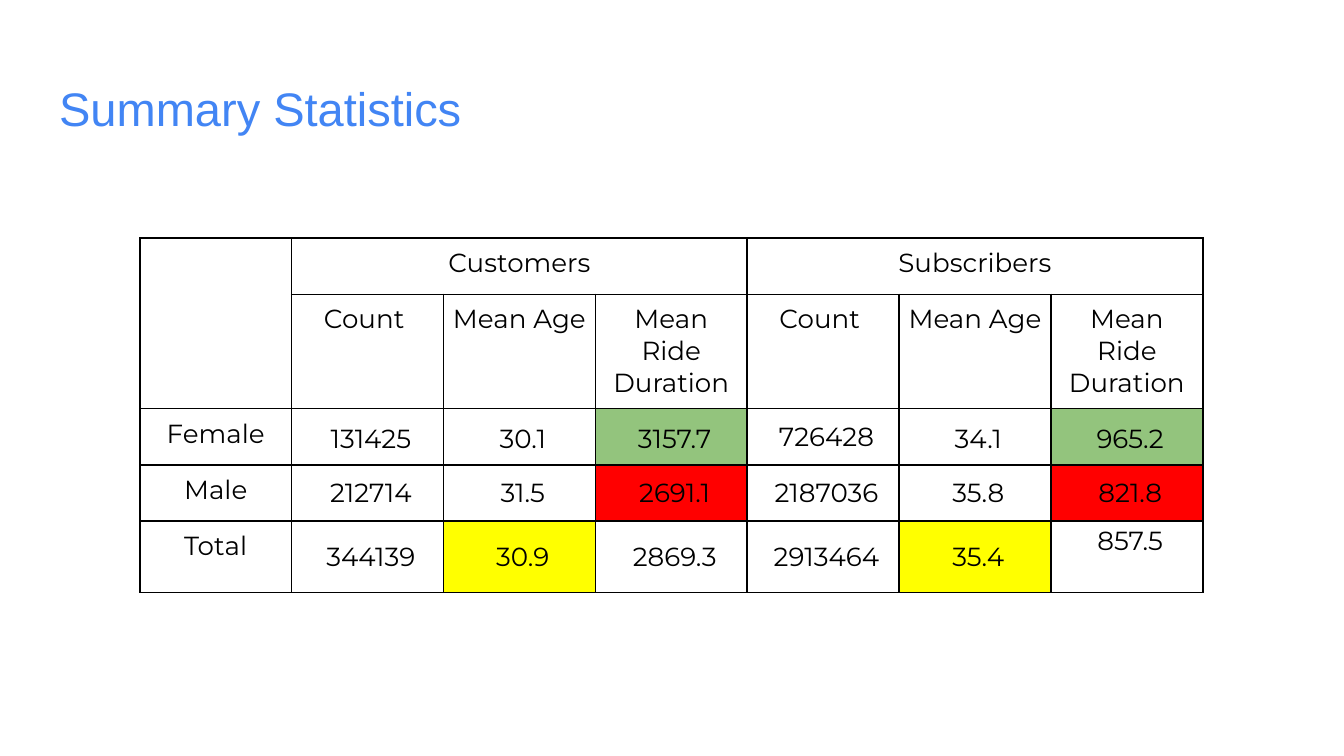
import pptx
import pptx.util
import pptx.dml.color
import pptx.enum.text
import pptx.oxml.ns
import lxml.etree

Inches, Pt = pptx.util.Inches, pptx.util.Pt
RGBColor = pptx.dml.color.RGBColor
Anchor = pptx.enum.text.MSO_ANCHOR
Align = pptx.enum.text.PP_ALIGN

BLUE = RGBColor(0x42, 0x85, 0xF4)
BLACK = RGBColor(0, 0, 0)
GREEN = RGBColor(0x93, 0xC4, 0x7D)
RED = RGBColor(0xFF, 0, 0)
YELLOW = RGBColor(0xFF, 0xFF, 0)


def add_edges(cell, width):
    """Draw all four borders of a cell in black."""
    props = cell._tc.get_or_add_tcPr()
    qn = pptx.oxml.ns.qn
    for side in ("a:lnL", "a:lnR", "a:lnT", "a:lnB"):
        line = lxml.etree.SubElement(props, qn(side), w=str(Pt(width)))
        fill = lxml.etree.SubElement(line, qn("a:solidFill"))
        lxml.etree.SubElement(fill, qn("a:srgbClr"), val=str(BLACK))


# Widescreen slide, 16 to 9
deck = pptx.Presentation()
deck.slide_width = Inches(10)
deck.slide_height = Inches(10) * 9 // 16
slide = deck.slides.add_slide(deck.slide_layouts[5])

# Title
title = slide.shapes.title
title.left, title.top = Inches(0.34), Inches(0.49)
title.width, title.height = Inches(9.32), Inches(0.63)
frame = title.text_frame
frame.text = "Summary Statistics"
frame.margin_left = frame.margin_right = Inches(0.1)
frame.margin_top = frame.margin_bottom = Inches(0.1)
frame.vertical_anchor = Anchor.TOP
frame.paragraphs[0].alignment = Align.LEFT
font = frame.paragraphs[0].runs[0].font
font.name, font.size, font.color.rgb = "Arial", Pt(25.2), BLUE

# Table content
heads = ["Count ", "Mean Age", "Mean Ride Duration"]
rows = [
    ["", "Customers", "", "", "Subscribers", "", ""],
    [""] + heads * 2,
    ["Female", "131425", "30.1", "3157.7", "726428", "34.1", "965.2"],
    ["Male", "212714", "31.5", "2691.1", "2187036", "35.8", "821.8"],
    ["Total", "344139", "30.9", "2869.3", "2913464", "35.4", "857.5"],
]
fills = {(2, 3): GREEN, (2, 6): GREEN, (3, 3): RED, (3, 6): RED,
         (4, 2): YELLOW, (4, 5): YELLOW}
highs = [0.42, 0.84, 0.42, 0.42, 0.53]
wide = 1.13

# Table grid
table = slide.shapes.add_table(
    len(rows), 7, Inches(1.04), Inches(1.77),
    Inches(wide * 7), Inches(sum(highs))).table
table.first_row = table.horz_banding = False
for col in table.columns:
    col.width = Inches(wide)
for row, high in zip(table.rows, highs):
    row.height = Inches(high)
table.cell(0, 0).merge(table.cell(1, 0))
for first in (1, 4):
    table.cell(0, first).merge(table.cell(0, first + 2))

# Cells
for r, row in enumerate(rows):
    for c, text in enumerate(row):
        cell = table.cell(r, c)
        label = r < 2 or c == 0
        add_edges(cell, 1)
        if (r, c) in fills:
            cell.fill.solid()
            cell.fill.fore_color.rgb = fills[r, c]
        else:
            cell.fill.background()
        pad = Inches(0.07 if label else 0.03)
        cell.margin_left = pad if label else Inches(0.08)
        cell.margin_right = cell.margin_top = cell.margin_bottom = pad
        high = label or (r, c) == (4, 6)
        cell.vertical_anchor = Anchor.TOP if high else Anchor.MIDDLE
        if not text:
            continue
        cell.text_frame.text = text
        para = cell.text_frame.paragraphs[0]
        para.alignment = Align.CENTER
        if r == 2 and c not in (0, 4):
            para.line_spacing = 1.15
        font = para.runs[0].font
        font.name, font.size, font.color.rgb = "Montserrat", Pt(14), BLACK

deck.save("out.pptx")
